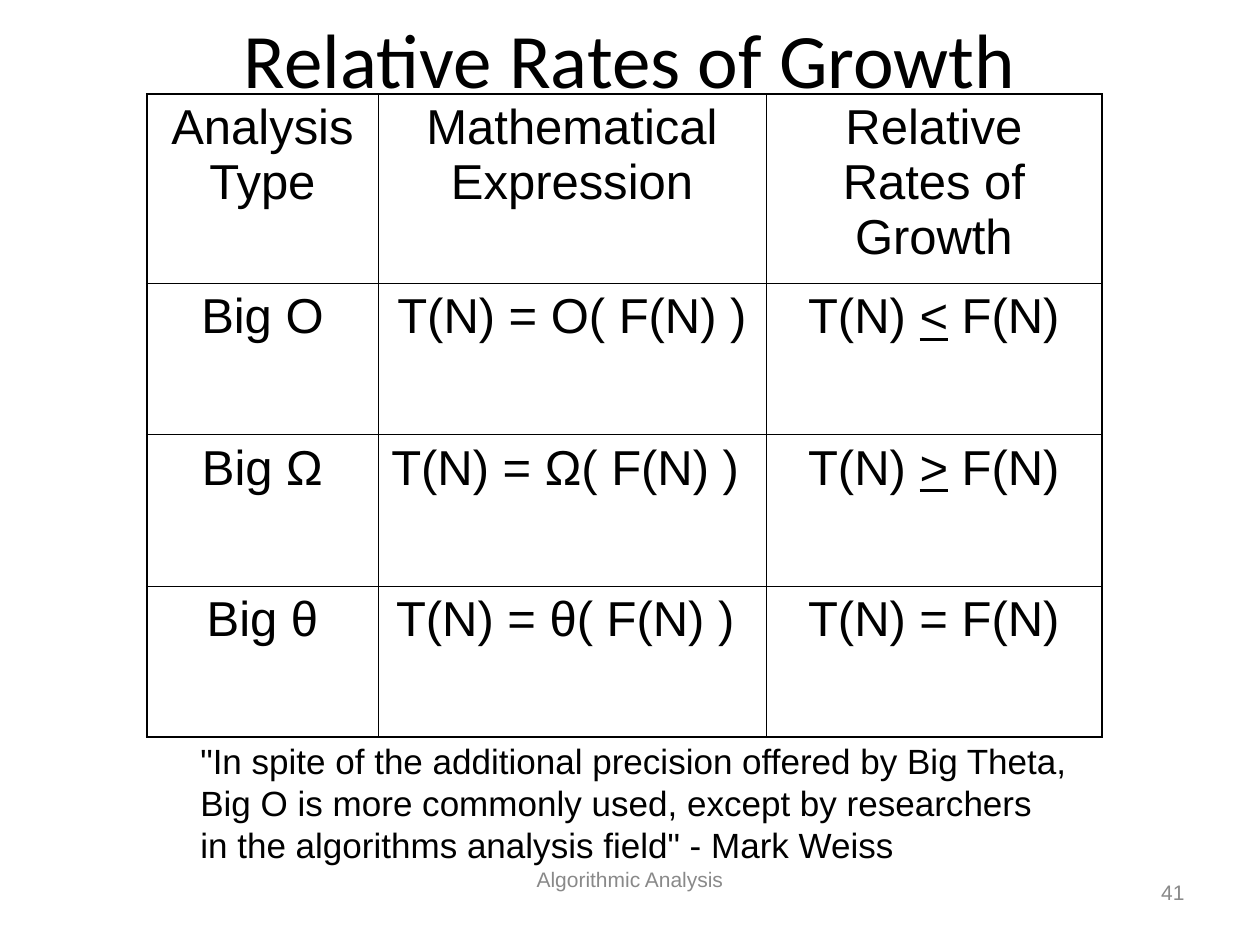
from lxml.etree import SubElement
from pptx import Presentation
from pptx.dml.color import RGBColor
from pptx.enum.text import MSO_ANCHOR, PP_ALIGN
from pptx.oxml.ns import qn
from pptx.util import Cm, Pt

COLUMN_WIDTHS = [4.66, 7.82, 6.77]
ROW_HEIGHTS = [3.81, 3.05, 3.05, 3.05]
ROWS = [
    ["Analysis Type", "Mathematical\vExpression", "Relative Rates of Growth"],
    ["Big O", "T(N) = O( F(N) ) ", "T(N) < F(N)"],
    ["Big Ω", "T(N) = Ω( F(N) ) ", "T(N) > F(N)"],
    ["Big θ", "T(N) = θ( F(N) ) ", "T(N) = F(N)"],
]
QUOTE = (
    '"In spite of the additional precision offered by Big Theta,\v'
    "Big O is more commonly used, except by researchers\v"
    'in the algorithms analysis field" - Mark Weiss'
)


def color(value):
    """Turn a hex string into a colour."""
    return RGBColor.from_string(value)


def format_paragraph(paragraph, size, align, before=0, font="Arial", ink="000000"):
    """Apply alignment, spacing and one font to a whole paragraph."""
    paragraph.alignment = align
    paragraph.space_before = Pt(before)
    for span in paragraph.runs:
        span.font.size = Pt(size)
        span.font.name = font
        span.font.color.rgb = color(ink)


def add_text(page, text, left, top, width, height, size, align,
             anchor=MSO_ANCHOR.MIDDLE, wrap=True, **style):
    """Add a text box with one formatted paragraph."""
    box = page.shapes.add_textbox(Cm(left), Cm(top), Cm(width), Cm(height))
    frame = box.text_frame
    frame.word_wrap = wrap
    frame.vertical_anchor = anchor
    paragraph = frame.paragraphs[0]
    paragraph.text = text
    format_paragraph(paragraph, size, align, **style)


def set_borders(cell, outer_sides):
    """Draw thin cell borders, and thicker ones on the outer sides."""
    properties = cell._tc.get_or_add_tcPr()
    for index, side in enumerate(["lnL", "lnR", "lnT", "lnB"]):
        width = Pt(1.08 if side in outer_sides else 0.45)
        line = properties.makeelement(qn(f"a:{side}"), {"w": str(int(width))})
        fill = SubElement(line, qn("a:solidFill"))
        SubElement(fill, qn("a:srgbClr"), val="000000")
        properties.insert(index, line)


def fill_cell(cell, text):
    """Write a cell, underlining a lone comparison sign."""
    paragraph = cell.text_frame.paragraphs[0]
    sign = next((mark for mark in "<>" if mark in text), None)
    if sign:
        before, _, after = text.partition(sign)
        for part in (before, sign, after):
            span = paragraph.add_run()
            span.text = part
            span.font.underline = part == sign
    else:
        paragraph.text = text
    format_paragraph(paragraph, 28, PP_ALIGN.CENTER, before=7)


def add_growth_table(page, left, top):
    """Add the table that compares the analysis types."""
    last_row, last_column = len(ROWS) - 1, len(COLUMN_WIDTHS) - 1
    table = page.shapes.add_table(
        len(ROWS), len(COLUMN_WIDTHS), Cm(left), Cm(top),
        Cm(sum(COLUMN_WIDTHS)), Cm(sum(ROW_HEIGHTS))).table
    table.first_row = False
    table.horz_banding = False
    for column, width in zip(table.columns, COLUMN_WIDTHS):
        column.width = Cm(width)
    for row, height in zip(table.rows, ROW_HEIGHTS):
        row.height = Cm(height)
    for r, texts in enumerate(ROWS):
        for c, text in enumerate(texts):
            cell = table.cell(r, c)
            cell.fill.background()
            fill_cell(cell, text)
            edges = {"lnL": c == 0, "lnR": c == last_column,
                     "lnT": r == 0, "lnB": r == last_row}
            set_borders(cell, [side for side, outer in edges.items() if outer])


def main():
    """Build the slide and save the deck."""
    deck = Presentation()
    deck.slide_width, deck.slide_height = Cm(25.4), Cm(19.05)
    page = deck.slides.add_slide(deck.slide_layouts[6])
    add_text(page, "Relative Rates of Growth", 1.9, -0.43, 21.6, 3.18, 44,
             PP_ALIGN.CENTER, font="Calibri")
    add_growth_table(page, 2.96, 1.9)
    add_text(page, "Algorithmic Analysis", 7.83, 17.35, 9.74, 1.27, 12,
             PP_ALIGN.CENTER, anchor=MSO_ANCHOR.TOP, before=3, ink="898989")
    add_text(page, "41", 18.84, 17.35, 5.29, 1.27, 12, PP_ALIGN.RIGHT,
             before=3, ink="898989")
    add_text(page, QUOTE, 3.79, 14.78, 18, 2.8, 20, PP_ALIGN.LEFT,
             anchor=MSO_ANCHOR.TOP, wrap=False, before=5)
    deck.save("out.pptx")


if __name__ == "__main__":
    main()
